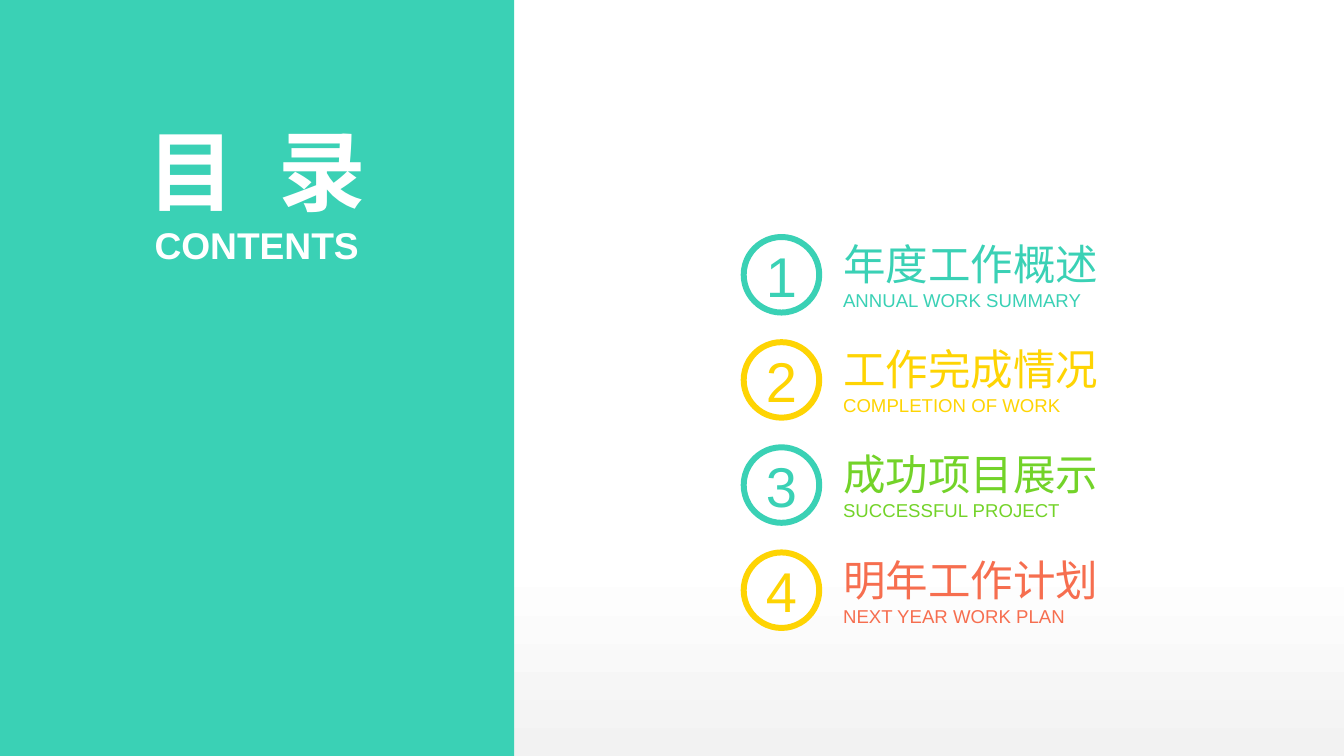
from dataclasses import dataclass

from pptx import Presentation
from pptx.dml.color import RGBColor
from pptx.enum.shapes import MSO_SHAPE
from pptx.enum.text import MSO_ANCHOR, MSO_AUTO_SIZE, PP_ALIGN
from pptx.util import Inches, Pt


@dataclass(frozen=True)
class Theme:
    """Colours, font and type sizes of the slide."""
    font: str = "Arial"
    white: str = "FFFFFF"
    grey: str = "F2F2F2"
    teal: str = "3AD1B5"
    yellow: str = "FED403"
    green: str = "73D329"
    coral: str = "F66E4F"
    title: float = 66
    subtitle: float = 28
    number: float = 42.2
    heading: float = 32
    caption: float = 14
    ring: float = 4.5


T = Theme()
WIDTH, HEIGHT = 14.06, 7.91
PANEL_WIDTH = 5.38
ENTRIES = [
    ("年度工作概述", "ANNUAL WORK SUMMARY", T.teal, T.teal),
    ("工作完成情况", "COMPLETION OF WORK", T.yellow, T.yellow),
    ("成功项目展示", "SUCCESSFUL PROJECT", T.teal, T.green),
    ("明年工作计划", "NEXT YEAR WORK PLAN", T.yellow, T.coral),
]


def rgb(value):
    """Turn a hex value into a colour."""
    return RGBColor.from_string(value)


def apply(target, formats):
    """Set each format value on the target."""
    for name, value in formats.items():
        setattr(target, name, value)


def write(sp, lines, color, align, anchor=MSO_ANCHOR.MIDDLE, bold=False):
    """Fill a shape with one paragraph per (text, size) line."""
    tf = sp.text_frame
    apply(tf, dict(margin_left=0, margin_top=0, margin_right=0, margin_bottom=0,
                   word_wrap=True, vertical_anchor=anchor))
    for i, (text, size) in enumerate(lines):
        p = tf.add_paragraph() if i else tf.paragraphs[0]
        p.alignment = align
        r = p.add_run()
        r.text = text
        apply(r.font, dict(name=T.font, size=Pt(size), bold=bold))
        r.font.color.rgb = rgb(color)
    return tf


def add_text(s, box, *args, **kwargs):
    """Add a text box that grows with its text."""
    sp = s.shapes.add_textbox(*map(Inches, box))
    tf = write(sp, *args, **kwargs)
    tf.auto_size = MSO_AUTO_SIZE.SHAPE_TO_FIT_TEXT
    return tf


def add_plain(s, kind, box):
    """Add a shape without shadow or outline."""
    sp = s.shapes.add_shape(kind, *map(Inches, box))
    sp.shadow.inherit = False
    sp.line.fill.background()
    return sp


def add_backdrop(s, box):
    """Shade the slide from grey at the bottom to white."""
    fill = add_plain(s, MSO_SHAPE.RECTANGLE, box).fill
    fill.gradient()
    fill.gradient_angle = 90
    for stop, position, color in zip(fill.gradient_stops, (0, 0.26), (T.grey, T.white)):
        stop.position = position
        stop.color.rgb = rgb(color)


def add_title_panel(s, box):
    """Draw the coloured panel with the title and subtitle."""
    x, y, w, h = box
    fill = add_plain(s, MSO_SHAPE.RECTANGLE, box).fill
    fill.solid()
    fill.fore_color.rgb = rgb(T.teal)
    tf = add_text(s, (x + 1.36, y + 1.22, 2.66, 1.11), [("目 录", T.title)],
                  T.white, PP_ALIGN.CENTER, bold=True)
    tf.paragraphs[0].runs[0]._r.get_or_add_rPr().set("spc", "900")
    add_text(s, (x + 1.37, y + 2.33, 2.63, 0.47), [("CONTENTS", T.subtitle)],
             T.white, PP_ALIGN.CENTER, anchor=MSO_ANCHOR.TOP, bold=True)


def add_entry(s, box, number, heading, caption, ring_color, text_color):
    """Draw a numbered ring with its heading and caption."""
    x, y, w, h = box
    sp = add_plain(s, MSO_SHAPE.OVAL, (x, y, h, h))
    sp.fill.solid()
    sp.fill.fore_color.rgb = rgb(T.white)
    sp.line.color.rgb = rgb(ring_color)
    sp.line.width = Pt(T.ring)
    write(sp, [(str(number), T.number)], ring_color, PP_ALIGN.CENTER)
    add_text(s, (x + 1.04, y + 0.01, w - 1.04, h - 0.02),
             [(heading, T.heading), (caption, T.caption)], text_color, PP_ALIGN.LEFT)


def add_contents(s, box, pitch=1.1):
    """Stack the entries at an even pitch."""
    x, y, w, h = box
    for i, entry in enumerate(ENTRIES):
        add_entry(s, (x, y + i * pitch, w, h - pitch * (len(ENTRIES) - 1)), i + 1, *entry)


def main():
    """Build the contents slide."""
    prs = Presentation()
    apply(prs, dict(slide_width=Inches(WIDTH), slide_height=Inches(HEIGHT)))
    s = prs.slides.add_slide(prs.slide_layouts[6])
    add_backdrop(s, (0, 0, WIDTH, HEIGHT))
    add_title_panel(s, (0, 0, PANEL_WIDTH, HEIGHT))
    add_contents(s, (7.78, 2.48, 4, 4.09))
    prs.save("out.pptx")


if __name__ == "__main__":
    main()
